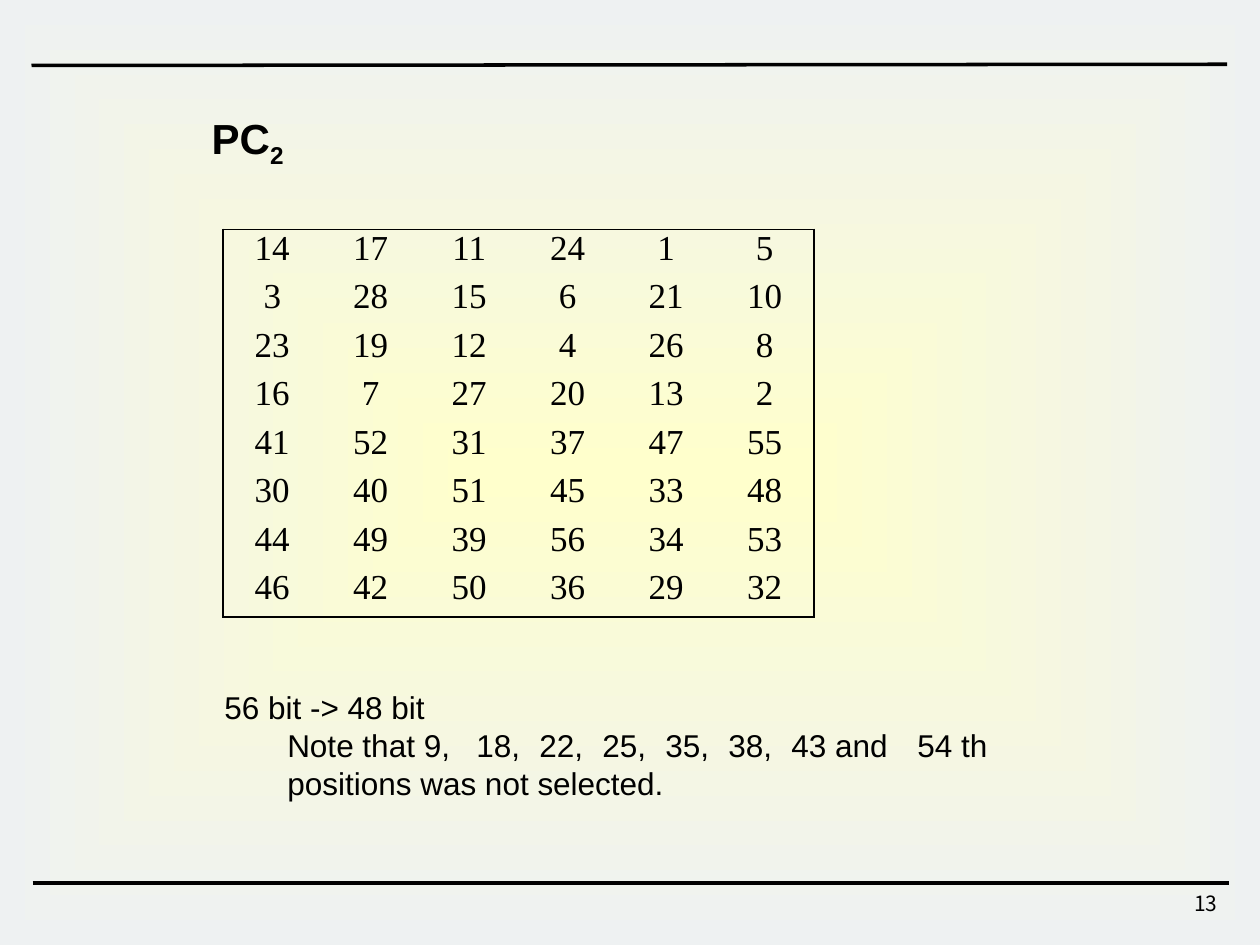
"""Build the PC2 permutation table slide."""
from lxml import etree
from pptx import Presentation, util as u
from pptx.dml.color import RGBColor
from pptx.enum import shapes, text
from pptx.oxml import ns

COLORS = {"ink": "000000", "center": "FFFFCC", "edge": "EEF1F2"}
ROWS = [
    [14, 17, 11, 24, 1, 5],
    [3, 28, 15, 6, 21, 10],
    [23, 19, 12, 4, 26, 8],
    [16, 7, 27, 20, 13, 2],
    [41, 52, 31, 37, 47, 55],
    [30, 40, 51, 45, 33, 48],
    [44, 49, 39, 56, 34, 53],
    [46, 42, 50, 36, 29, 32],
]


def add_element(parent, tag, **attributes):
    return etree.SubElement(parent, ns.qn(tag), **attributes)


def write(paragraph, content, size=18, font="Arial", bold=False, align=text.PP_ALIGN.LEFT, spacing=1.0):
    paragraph.alignment = align
    paragraph.line_spacing = spacing
    paragraph.space_before = u.Pt(0)
    run = paragraph.add_run()
    run.text = content
    run.font.size = u.Pt(size)
    run.font.name = font
    run.font.bold = bold
    run.font.color.rgb = RGBColor.from_string(COLORS["ink"])
    return run


presentation = Presentation()
presentation.slide_width = u.Inches(10)
presentation.slide_height = u.Inches(7.5)
slide = presentation.slides.add_slide(presentation.slide_layouts[1])
title, note = slide.placeholders

backdrop = slide.shapes.add_shape(shapes.MSO_SHAPE.RECTANGLE, 0, 0, u.Inches(10), u.Inches(7.5))
backdrop.shadow.inherit = False
backdrop.line.fill.background()
backdrop.fill.gradient()
for stop, position, name in zip(backdrop.fill.gradient_stops, (0, 1), ("center", "edge")):
    stop.position = position
    stop.color.rgb = RGBColor.from_string(COLORS[name])
gradient = backdrop.element.spPr.find(ns.qn("a:gradFill"))
gradient.remove(gradient.find(ns.qn("a:lin")))
shade = add_element(gradient, "a:path", path="rect")
add_element(shade, "a:fillToRect", l="50000", t="50000", r="50000", b="50000")
title.element.addprevious(backdrop.element)

for left, top, right, bottom in ((0.25, 0.52, 9.74, 0.51), (0.26, 7.01, 9.75, 7.01)):
    rule = slide.shapes.add_connector(
        shapes.MSO_CONNECTOR.STRAIGHT, u.Inches(left), u.Inches(top), u.Inches(right), u.Inches(bottom))
    rule.line.width = u.Pt(2)
    rule.line.color.rgb = RGBColor.from_string(COLORS["ink"])
    add_element(rule.element.spPr, "a:effectLst")

number = slide.shapes.add_textbox(u.Inches(7.68), u.Inches(7.02), u.Inches(2.08), u.Inches(0.33))
number.text_frame.word_wrap = True
write(number.text_frame.paragraphs[0], "13", size=12, font="Noto Sans CJK KR", align=text.PP_ALIGN.RIGHT)

title.left, title.top, title.width, title.height = [u.Inches(n) for n in (1.58, 0.84, 0.79, 0.5)]
title.text_frame.word_wrap = False
title.text_frame.auto_size = text.MSO_AUTO_SIZE.SHAPE_TO_FIT_TEXT
title.text_frame.vertical_anchor = text.MSO_ANCHOR.TOP
write(title.text_frame.paragraphs[0], "PC", size=24, bold=True)
subscript = write(title.text_frame.paragraphs[0], "2", size=24, bold=True)
subscript.font._element.set("baseline", "-25000")

frame = slide.shapes.add_table(
    len(ROWS), len(ROWS[0]), u.Inches(1.77), u.Inches(1.82), u.Inches(4.69), u.Inches(3.08))
table = frame.table
table.first_row = False
table.horz_banding = False
for row, values in enumerate(ROWS):
    for column, value in enumerate(values):
        cell = table.cell(row, column)
        write(cell.text_frame.paragraphs[0], str(value), size=20, font="Times New Roman",
              align=text.PP_ALIGN.CENTER, spacing=0.8)
        properties = cell._tc.get_or_add_tcPr()
        outer_sides = {
            "a:lnL": column == 0,
            "a:lnR": column == len(values) - 1,
            "a:lnT": row == 0,
            "a:lnB": row == len(ROWS) - 1,
        }
        for side, visible in outer_sides.items():
            border = add_element(properties, side, w=str(u.Pt(1)))
            if visible:
                add_element(add_element(border, "a:solidFill"), "a:srgbClr", val=COLORS["ink"])
            else:
                add_element(border, "a:noFill")
        cell.fill.background()

note.left, note.top, note.width, note.height = [u.Inches(n) for n in (1.78, 5.46, 6.47, 0.91)]
body = note.text_frame
body.word_wrap = True
body.auto_size = text.MSO_AUTO_SIZE.SHAPE_TO_FIT_TEXT
body.vertical_anchor = text.MSO_ANCHOR.TOP
body.margin_left = body.margin_top = body.margin_right = body.margin_bottom = 0
lines = (
    ("56 bit -> 48 bit", 0, ()),
    ("Note that 9,\t18,\t22,\t25,\t35,\t38,\t43 and\t54 th positions was not selected.", 0.5,
     (2, 2.56, 3.11, 3.67, 4.22, 4.78, 5.75)),
)
for level, (content, indent, stops) in enumerate(lines):
    paragraph = body.add_paragraph() if level else body.paragraphs[0]
    paragraph.level = level
    properties = paragraph._p.get_or_add_pPr()
    properties.set("marL", str(u.Inches(indent)))
    properties.set("indent", "0")
    add_element(properties, "a:buNone")
    if stops:
        tabs = add_element(properties, "a:tabLst")
        for stop in stops:
            add_element(tabs, "a:tab", pos=str(u.Inches(stop)), algn="l")
    write(paragraph, content)

presentation.save("out.pptx")
